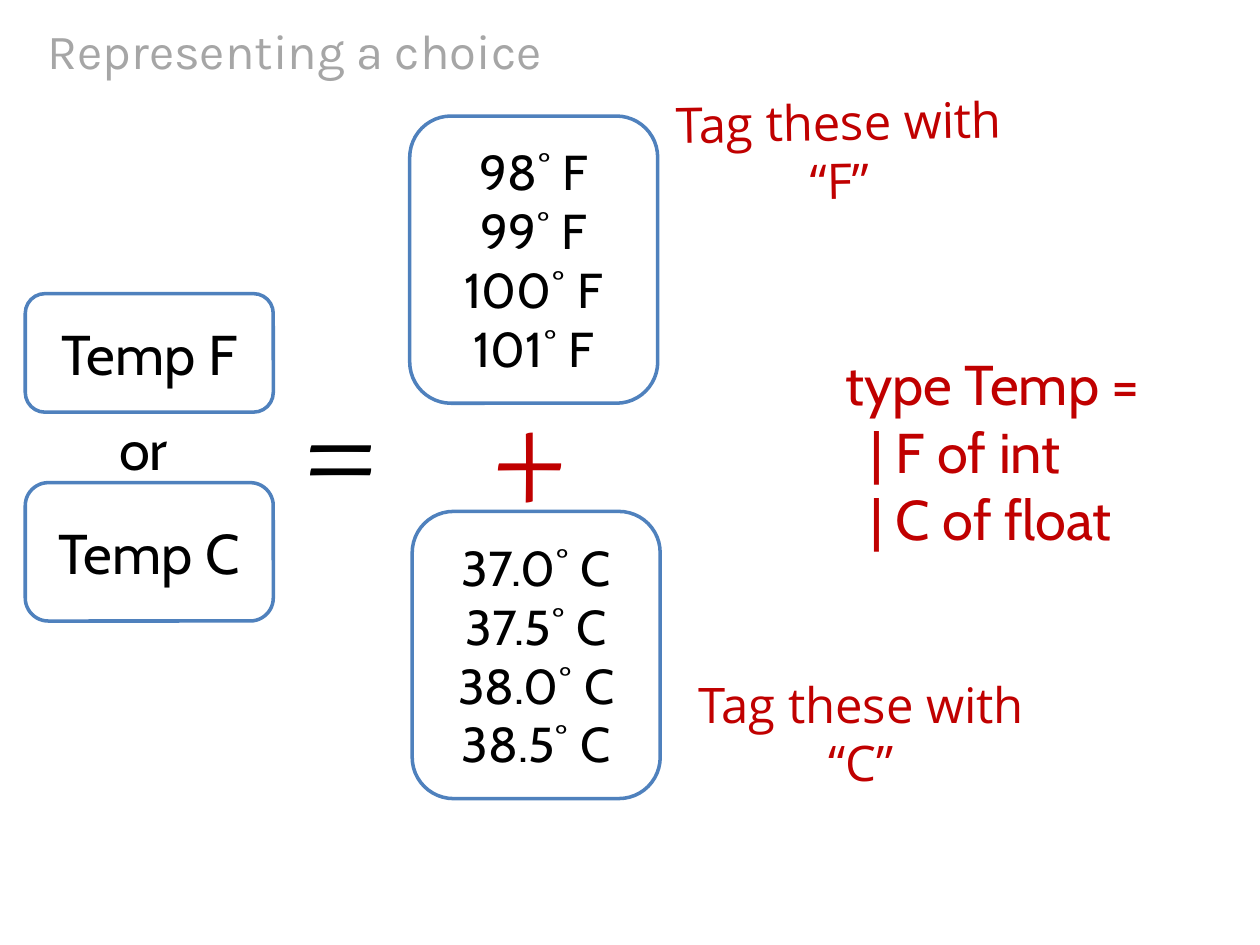
"""Build a slide that shows a choice type as a sum of tagged temperatures."""
import pptx
import pptx.dml.color
import pptx.enum.shapes
import pptx.enum.text
import pptx.util

Cm = pptx.util.Cm
Align = pptx.enum.text.PP_ALIGN
Anchor = pptx.enum.text.MSO_ANCHOR

BLACK = "000000"
RED = "C00000"
GREY = "A6A6A6"
BLUE = "4F81BD"
WHITE = "FFFFFF"


def color(value):
    return pptx.dml.color.RGBColor.from_string(value)


def write(frame, lines, font="Cabin", size=28, ink=BLACK, align=Align.CENTER,
          anchor=Anchor.MIDDLE, inset=None, hanging=0):
    frame.word_wrap = True
    frame.auto_size = pptx.enum.text.MSO_AUTO_SIZE.NONE
    frame.vertical_anchor = anchor
    if inset is not None:
        frame.margin_left = frame.margin_right = Cm(inset)
        frame.margin_top = frame.margin_bottom = Cm(inset)
    for index, line in enumerate(lines):
        para = frame.add_paragraph() if index else frame.paragraphs[0]
        para.alignment = align
        if index and hanging:
            para._p.get_or_add_pPr().set("marL", str(Cm(hanging)))
        span = para.add_run()
        span.text = line
        span.font.name = font
        span.font.size = pptx.util.Pt(size)
        span.font.color.rgb = color(ink)


class Slide:
    def __init__(self, deck):
        self.page = deck.slides.add_slide(deck.slide_layouts[5])
        self.outline = BLUE
        self.outline_width = pptx.util.Pt(2)

    def title(self, text, left, top, width, height):
        box = self.page.shapes.title
        box.left, box.top, box.width, box.height = map(Cm, (left, top, width, height))
        write(box.text_frame, [text], font="Karla", ink=GREY, align=Align.LEFT)

    def label(self, lines, left, top, width, height, parent=None, angle=0, **style):
        shapes = (parent or self.page).shapes
        box = shapes.add_textbox(*map(Cm, (left, top, width, height)))
        box.rotation = angle
        write(box.text_frame, lines, **style)

    def card(self, lines, left, top, width, height, parent=None, **style):
        shapes = (parent or self.page).shapes
        box = shapes.add_shape(pptx.enum.shapes.MSO_SHAPE.ROUNDED_RECTANGLE,
                               *map(Cm, (left, top, width, height)))
        box.shadow.inherit = False
        box.fill.solid()
        box.fill.fore_color.rgb = color(WHITE)
        box.line.color.rgb = color(self.outline)
        box.line.width = self.outline_width
        write(box.text_frame, lines, **style)

    def symbol(self, text, left, top, ink):
        self.label([text], left, top, 1.5, 7.52, font="Vollkorn", size=80, ink=ink,
                   align=Align.LEFT, anchor=Anchor.TOP, inset=0)

    def group(self):
        return self.page.shapes.add_group_shape()


def main():
    deck = pptx.Presentation()
    deck.slide_width, deck.slide_height = Cm(25.4), Cm(19.05)
    slide = Slide(deck)

    slide.title("Representing a choice", 0.71, 0.33, 24, 1.37)
    slide.symbol("+", 9.91, 7.32, RED)
    slide.symbol("=", 6.1, 7.19, BLACK)

    slide.card([f"{degrees}˚ F" for degrees in range(98, 102)], 8.26, 2.34, 5, 5.79)
    slide.card([f"{37 + step / 2:.1f}˚ C" for step in range(4)], 8.31, 10.31, 5, 5.79)

    choice = slide.group()
    slide.card(["Temp F"], 0.51, 5.92, 5, 2.39, parent=choice, size=32)
    slide.card(["Temp C"], 0.51, 9.73, 5, 2.79, parent=choice, size=32)
    slide.label(["or"], 1.09, 8.33, 3.61, 1.4, parent=choice, size=32, inset=0)

    tag = {"font": "Open Sans", "ink": RED}
    slide.label(["Tag these with “F”"], 12.93, 1.98, 7.98, 2.11, angle=359, **tag)
    slide.label(["Tag these with “C”"], 13.31, 13.72, 8.1, 2.11, **tag)

    slide.label(["type Temp =", "| F of int", "| C of float"], 16.79, 6.93, 8.61, 4.37,
                size=32, ink=RED, align=Align.LEFT, anchor=Anchor.TOP, hanging=0.5)

    deck.save("out.pptx")


if __name__ == "__main__":
    main()
